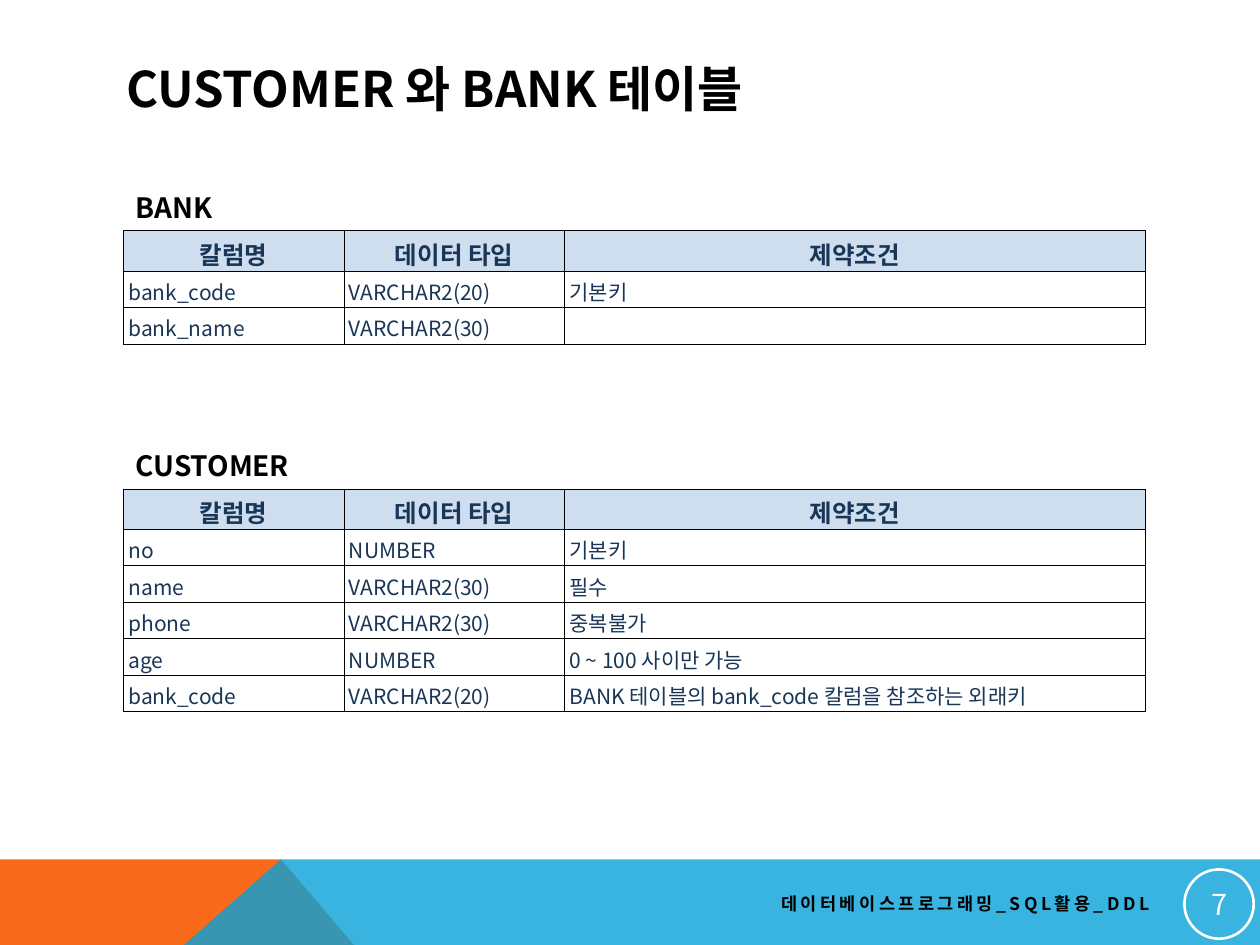
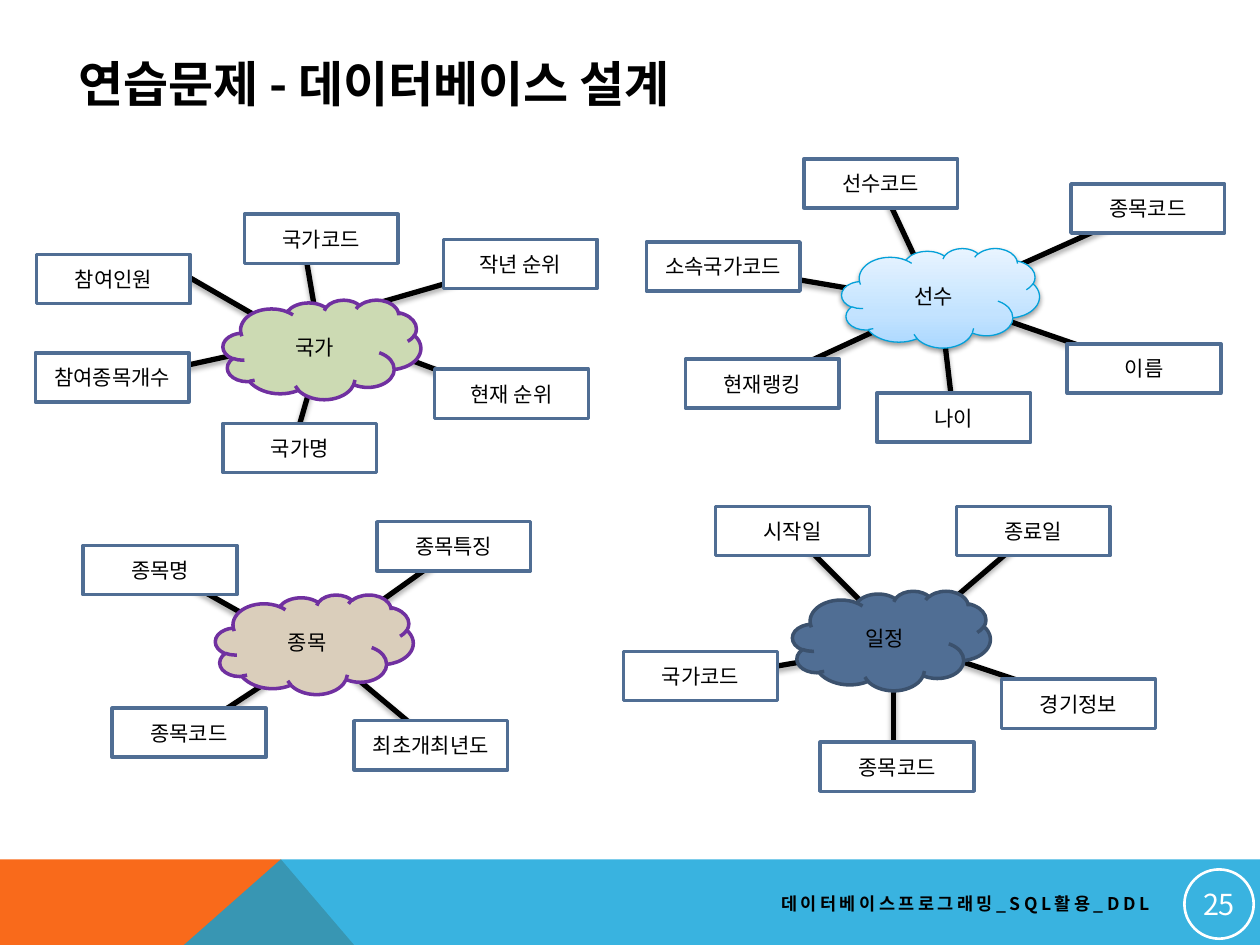
from copy import deepcopy
from dataclasses import dataclass

from lxml import etree
from pptx import Presentation
from pptx import util as u
from pptx.dml.color import RGBColor
from pptx.enum import shapes, text
from pptx.oxml import ns

COLORS = {
    "black": "000000",
    "white": "FFFFFF",
    "orange": "F96A1B",
    "blue": "08A1D9",
    "slate": "506E94",
    "dark_slate": "3B516D",
    "purple": "7030A0",
    "sky_line": "03A0D9",
    "green": "CCDAB3",
    "tan": "DACEBB",
    "table_text": "193657",
    "table_header": "CEDEEF",
}
SKY_GRADIENT = ((0, "ABD8FF"), (0.35, "C3E3FF"), (1, "E8F4FF"))
FONT = "Noto Sans CJK KR"
FOOTER = "데이터베이스프로그래밍_SQL활용_DDL"
TITLE_SIZE = (8.22, 0.6)
BOX_SIZE = (1.22, 0.39)
CLOUD_SIZE = (1.57, 0.79)
COLUMN_WIDTHS = (1.75, 1.75, 4.61)
TABLE_LEFT = 0.98
LABEL_HEIGHT = 0.37
HEADER_HEIGHT, ROW_HEIGHT = 0.32, 0.29
BAND_TOP, BAND_BOTTOM = 6.82, 7.5

LEFT, CENTER, RIGHT = text.PP_ALIGN.LEFT, text.PP_ALIGN.CENTER, text.PP_ALIGN.RIGHT
MIDDLE, TOP = text.MSO_ANCHOR.MIDDLE, text.MSO_ANCHOR.TOP
MARGINS = ("margin_left", "margin_right", "margin_top", "margin_bottom")

Point = tuple[float, float]


@dataclass(frozen=True)
class TextStyle:
    size: float
    color: str = "black"
    bold: bool = False
    align: text.PP_ALIGN = LEFT
    spacing: float = 0


@dataclass(frozen=True)
class TableBlock:
    name: str
    name_width: float
    top: float
    rows: tuple[tuple[str, str, str], ...]


@dataclass(frozen=True)
class Attribute:
    label: str
    corner: Point
    outer: Point
    inner: Point


@dataclass(frozen=True)
class Entity:
    label: str
    corner: Point
    fill: str
    line: str
    attributes: tuple[Attribute, ...]
    glossy: bool = False


TITLE = TextStyle(28, bold=True)
LABEL = TextStyle(16, bold=True)
FOOTER_STYLE = TextStyle(10, bold=True, align=RIGHT, spacing=2)
NUMBER = TextStyle(16.5, "white", align=CENTER)
NODE = TextStyle(12, align=CENTER)
HEADER_CELL = TextStyle(14, "table_text", True, CENTER)
BODY_CELL = TextStyle(12, "table_text")

HEADER = ("칼럼명", "데이터 타입", "제약조건")
TABLES = (
    TableBlock("BANK", 0.83, 1.83, (
        ("bank_code", "VARCHAR2(20)", "기본키"),
        ("bank_name", "VARCHAR2(30)", ""),
    )),
    TableBlock("CUSTOMER", 1.42, 3.88, (
        ("no", "NUMBER", "기본키"),
        ("name", "VARCHAR2(30)", "필수"),
        ("phone", "VARCHAR2(30)", "중복불가"),
        ("age", "NUMBER", "0 ~ 100 사이만 가능"),
        ("bank_code", "VARCHAR2(20)", "BANK 테이블의 bank_code 칼럼을 참조하는 외래키"),
    )),
)
ENTITIES = (
    Entity("종목", (1.71, 4.72), "tan", "purple", (
        Attribute("종목코드", (0.89, 5.62), (1.5, 5.82), (2.37, 5.25)),
        Attribute("종목명", (0.66, 4.33), (1.27, 4.5), (2.37, 5.12)),
        Attribute("종목특징", (2.99, 4.14), (3.6, 4.36), (2.49, 5.15)),
        Attribute("최초개최년도", (2.81, 5.72), (3.46, 5.91), (2.49, 5.1)),
    )),
    Entity("일정", (6.29, 4.69), "slate", "dark_slate", (
        Attribute("시작일", (5.68, 4.02), (6.28, 4.22), (7.08, 5.02)),
        Attribute("종료일", (7.59, 4.02), (8.19, 4.22), (7.57, 4.75)),
        Attribute("경기정보", (7.95, 5.39), (8.56, 5.56), (7.12, 5.08)),
        Attribute("국가코드", (4.95, 5.17), (5.56, 5.39), (7.08, 5.13)),
        Attribute("종목코드", (6.51, 5.89), (7.09, 6.06), (7.09, 5.13)),
    )),
    Entity("선수", (6.68, 1.97), "white", "sky_line", (
        Attribute("이름", (8.47, 2.73), (9.08, 2.92), (7.46, 2.36)),
        Attribute("선수코드", (6.38, 1.26), (6.99, 1.46), (7.42, 2.38)),
        Attribute("종목코드", (8.5, 1.46), (9.08, 1.66), (7.52, 2.36)),
        Attribute("소속국가코드", (5.13, 1.92), (5.75, 2.12), (7.45, 2.41)),
        Attribute("현재랭킹", (5.44, 2.85), (6.05, 3.04), (7.46, 2.39)),
        Attribute("나이", (6.96, 3.12), (7.57, 3.32), (7.46, 2.39)),
    ), glossy=True),
    Entity("국가", (1.77, 2.38), "green", "purple", (
        Attribute("참여인원", (0.29, 2.02), (1.5, 2.2), (2.47, 2.76)),
        Attribute("작년 순위", (3.52, 1.9), (4.06, 2.1), (2.74, 2.48)),
        Attribute("현재 순위", (3.45, 2.93), (3.96, 3.12), (2.89, 2.72)),
        Attribute("국가코드", (1.94, 1.7), (2.38, 1.76), (2.55, 2.76)),
        Attribute("국가명", (1.77, 3.36), (2.38, 3.36), (2.55, 2.77)),
        Attribute("참여종목개수", (0.28, 2.8), (1.02, 3), (2.12, 2.76)),
    )),
)


def rgb(name: str) -> RGBColor:
    return RGBColor.from_string(COLORS[name])


def inches(*values: float) -> list[u.Length]:
    return [u.Inches(value) for value in values]


def apply(target, values: dict) -> None:
    for name, value in values.items():
        setattr(target, name, value)


def add_xml(parent, tag: str, **attributes):
    return etree.SubElement(parent, ns.qn(tag), {key: str(value) for key, value in attributes.items()})


def write(frame, content: str, style: TextStyle) -> None:
    paragraph = frame.paragraphs[0]
    paragraph.alignment = style.align
    if not content:
        add_xml(paragraph._p, "a:endParaRPr", sz=int(style.size * 100))
        return
    run = paragraph.add_run()
    run.text = content
    apply(run.font, {"name": FONT, "size": u.Pt(style.size), "bold": style.bold})
    run.font.color.rgb = rgb(style.color)
    properties = run.font._element
    add_xml(properties, "a:ea", typeface=FONT)
    if style.spacing:
        properties.set("spc", str(int(style.spacing * 100)))


def add_shadow(effects, alpha: int, distance: float) -> None:
    shadow = add_xml(effects, "a:outerShdw", blurRad=u.Pt(3.1), dist=u.Pt(distance),
                     dir=5400000, rotWithShape=0)
    color = add_xml(shadow, "a:srgbClr", val=COLORS["black"])
    add_xml(color, "a:alpha", val=alpha * 1000)


def paint(shape, fill: str | None, line: str | None, width: float = 2) -> None:
    shape.shadow.inherit = False
    if fill:
        shape.fill.solid()
        shape.fill.fore_color.rgb = rgb(fill)
    else:
        shape.fill.background()
    if line:
        shape.line.color.rgb = rgb(line)
        shape.line.width = u.Pt(width)
    else:
        shape.line.fill.background()


def add_node(parent, kind, corner: Point, size: Point, label: str, style: TextStyle):
    shape = parent.shapes.add_shape(kind, *inches(*corner, *size))
    apply(shape.text_frame, {"vertical_anchor": MIDDLE, "word_wrap": True})
    write(shape.text_frame, label, style)
    return shape


def add_label(slide, corner: Point, size: Point, content: str, style: TextStyle,
              anchor=TOP, wrap: bool = False) -> None:
    box = slide.shapes.add_textbox(*inches(*corner, *size))
    apply(box.text_frame, {"vertical_anchor": anchor, "word_wrap": wrap})
    write(box.text_frame, content, style)


def add_band(slide, points: tuple[Point, ...], fill: str, opacity: int = 100) -> None:
    builder = slide.shapes.build_freeform(*inches(*points[0]), scale=1.0)
    builder.add_line_segments([inches(*point) for point in points[1:]], close=True)
    shape = builder.convert_to_shape()
    paint(shape, fill, None)
    if opacity < 100:
        color = shape._element.spPr.find(".//" + ns.qn("a:srgbClr"))
        add_xml(color, "a:alpha", val=opacity * 1000)


def add_page(presentation, title: str, corner: Point, number: int):
    slide = presentation.slides.add_slide(presentation.slide_layouts[5])
    add_band(slide, ((0, BAND_TOP), (2.23, BAND_TOP), (2.81, BAND_BOTTOM), (0, BAND_BOTTOM)), "orange")
    add_band(slide, ((1.46, BAND_BOTTOM), (2.23, BAND_TOP), (10, BAND_TOP), (10, BAND_BOTTOM)), "blue", 80)
    placeholder = slide.shapes.title
    apply(placeholder, dict(zip(("left", "top", "width", "height"), inches(*corner, *TITLE_SIZE))))
    apply(placeholder.text_frame, {"vertical_anchor": MIDDLE, "word_wrap": True,
                                   "auto_size": text.MSO_AUTO_SIZE.NONE})
    write(placeholder.text_frame, title, TITLE)
    badge = add_node(slide, shapes.MSO_SHAPE.OVAL, (9.4, 6.9), (0.55, 0.55), str(number), NUMBER)
    paint(badge, None, "white", 1.5)
    apply(badge.text_frame, dict.fromkeys(MARGINS, u.Inches(0.01)))
    add_label(slide, (3.58, 7.02), (5.64, 0.3), FOOTER, FOOTER_STYLE, MIDDLE, True)
    return slide


def format_cell(cell, content: str, is_header: bool) -> None:
    apply(cell, dict.fromkeys(MARGINS, u.Inches(0.04)) | {"vertical_anchor": MIDDLE})
    write(cell.text_frame, content, HEADER_CELL if is_header else BODY_CELL)
    properties = cell._tc.get_or_add_tcPr()
    for side in ("a:lnL", "a:lnR", "a:lnT", "a:lnB"):
        border = add_xml(properties, side, w=u.Pt(0.28))
        add_xml(add_xml(border, "a:solidFill"), "a:srgbClr", val=COLORS["black"])
    if is_header:
        cell.fill.solid()
        cell.fill.fore_color.rgb = rgb("table_header")
    else:
        cell.fill.background()


def add_table_block(slide, block: TableBlock) -> None:
    rows = (HEADER, *block.rows)
    height = HEADER_HEIGHT + ROW_HEIGHT * len(block.rows)
    frame = slide.shapes.add_table(len(rows), len(HEADER), *inches(
        TABLE_LEFT, block.top, sum(COLUMN_WIDTHS), height))
    table = frame.table
    apply(table, {"first_row": False, "horz_banding": False})
    for column, width in zip(table.columns, COLUMN_WIDTHS):
        column.width = u.Inches(width)
    for row_index, row in enumerate(rows):
        table.rows[row_index].height = u.Inches(ROW_HEIGHT if row_index else HEADER_HEIGHT)
        for column_index, content in enumerate(row):
            format_cell(table.cell(row_index, column_index), content, row_index == 0)
    add_label(slide, (TABLE_LEFT, block.top - LABEL_HEIGHT), (block.name_width, LABEL_HEIGHT),
              block.name, LABEL)


def make_glossy(shape) -> None:
    shape.line.width = u.Pt(0.75)
    shape.fill.gradient()
    shape.fill.gradient_angle = 90
    stops = shape._element.spPr.find(".//" + ns.qn("a:gsLst"))
    stops.insert(1, deepcopy(stops[0]))
    for stop, (position, color) in zip(shape.fill.gradient_stops, SKY_GRADIENT):
        stop.position = position
        stop.color.rgb = RGBColor.from_string(color)
    add_shadow(shape._element.spPr.find(ns.qn("a:effectLst")), 38, 1.6)


def add_entity(slide, entity: Entity) -> None:
    group = slide.shapes.add_group_shape()
    for attribute in entity.attributes:
        connector = group.shapes.add_connector(
            shapes.MSO_CONNECTOR.STRAIGHT, *inches(*attribute.outer, *attribute.inner))
        connector.line.color.rgb = rgb("black")
        connector.line.width = u.Pt(3)
        add_shadow(add_xml(connector._element.spPr, "a:effectLst"), 35, 1.8)
    for attribute in entity.attributes:
        box = add_node(group, shapes.MSO_SHAPE.RECTANGLE, attribute.corner, BOX_SIZE, attribute.label, NODE)
        paint(box, "white", "slate")
    cloud = add_node(group, shapes.MSO_SHAPE.CLOUD, entity.corner, CLOUD_SIZE, entity.label, NODE)
    paint(cloud, entity.fill, entity.line)
    if entity.glossy:
        make_glossy(cloud)


def main() -> None:
    presentation = Presentation()
    apply(presentation, {"slide_width": u.Inches(10), "slide_height": u.Inches(7.5)})
    table_slide = add_page(presentation, "CUSTOMER 와 BANK 테이블", (0.9, 0.4), 7)
    for block in TABLES:
        add_table_block(table_slide, block)
    design_slide = add_page(presentation, "연습문제 - 데이터베이스 설계", (0.52, 0.36), 25)
    for entity in ENTITIES:
        add_entity(design_slide, entity)
    presentation.save("out.pptx")


main()
